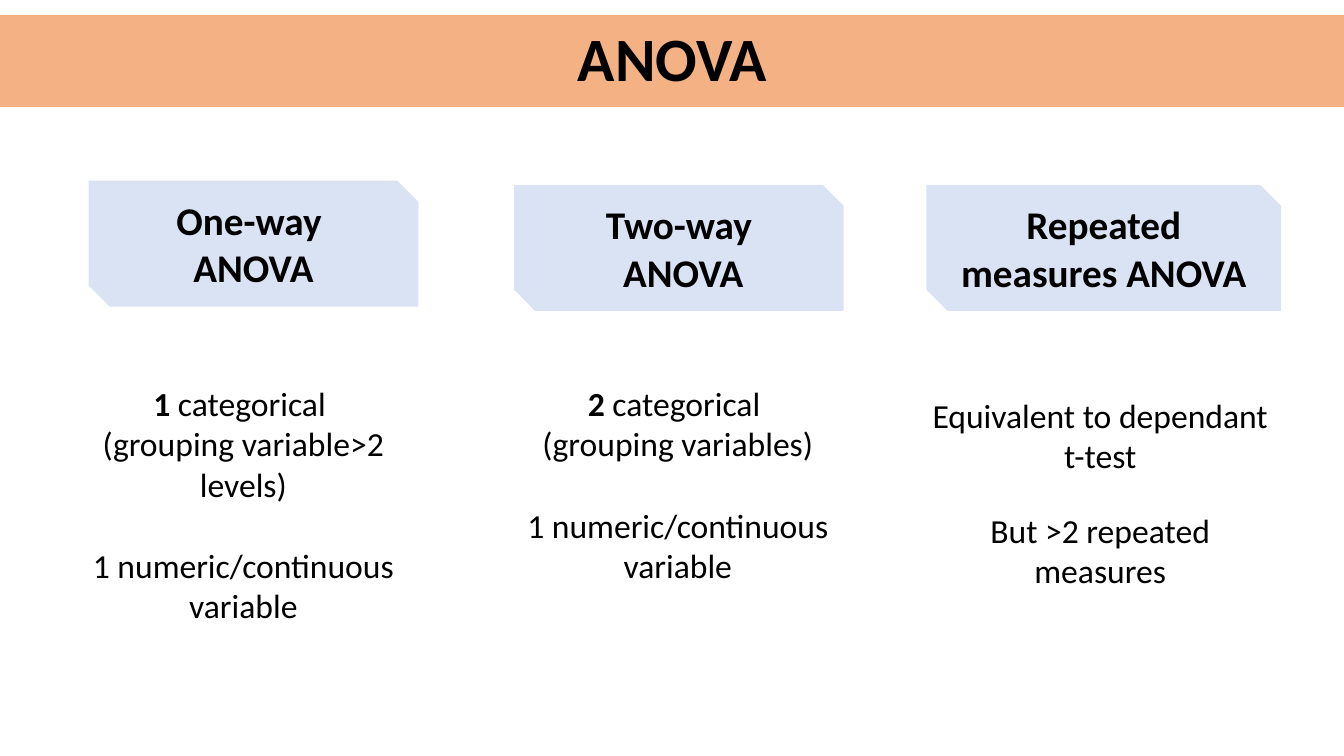
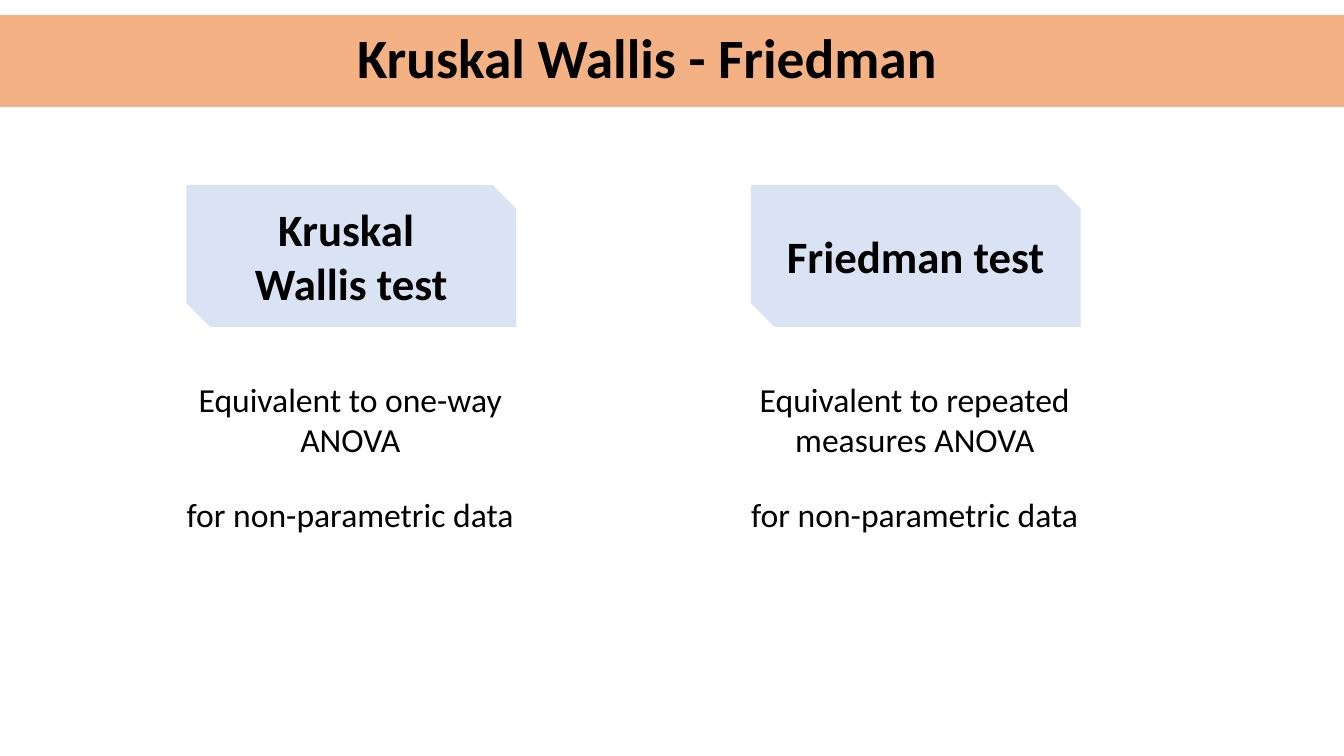
import pptx
import pptx.util
import pptx.dml.color
import pptx.enum.shapes
import pptx.enum.text

PEACH = pptx.dml.color.RGBColor(0xF4, 0xB1, 0x83)
PALE_BLUE = pptx.dml.color.RGBColor(0xDA, 0xE3, 0xF3)
BLACK = pptx.dml.color.RGBColor(0, 0, 0)
SHAPES = pptx.enum.shapes.MSO_SHAPE
ANCHOR = pptx.enum.text.MSO_ANCHOR
CENTER = pptx.enum.text.PP_ALIGN.CENTER

presentation = pptx.Presentation()
presentation.slide_width = pptx.util.Inches(13.33)
presentation.slide_height = pptx.util.Inches(7.5)

# Grid that all boxes (left, top, width, height) are given in
COLUMNS, ROWS = 160, 90
BAND = (0, 1.8, COLUMNS, 10.92)
NOTES_WIDTH = 44.28
LINE_HEIGHT = 1.22  # height of a line of Calibri, as a share of its size


def place(box):
    column = presentation.slide_width / COLUMNS
    row = presentation.slide_height / ROWS
    return [round(length * unit) for length, unit in zip(box, (column, row) * 2)]


def set_values(target, values):
    for name, value in values.items():
        setattr(target, name, value)


def write(shape, paragraphs, size, bold=False, anchor=ANCHOR.MIDDLE, line_spacing=1.0):
    """Each paragraph is (blank lines' size before it, bold lead, remaining text)."""
    frame = shape.text_frame
    set_values(frame, {"word_wrap": True, "vertical_anchor": anchor})
    for index, (gap, lead, text) in enumerate(paragraphs):
        paragraph = frame.add_paragraph() if index else frame.paragraphs[0]
        set_values(paragraph, {"alignment": CENTER, "line_spacing": line_spacing,
                               "space_before": pptx.util.Pt(gap * LINE_HEIGHT)})
        for words, heavy in ((lead, True), (text, bold)):
            if words:
                run = paragraph.add_run()
                run.text = words
                set_values(run.font, {"name": "Calibri", "size": pptx.util.Pt(size),
                                      "bold": heavy})
                run.font.color.rgb = BLACK


def add_block(slide, kind, box, color):
    shape = slide.shapes.add_shape(kind, *place(box))
    shape.shadow.inherit = False
    shape.fill.solid()
    shape.fill.fore_color.rgb = color
    shape.line.fill.background()
    return shape


def add_title(slide, box, text, size, line_spacing):
    add_block(slide, SHAPES.RECTANGLE, BAND, PEACH)
    title = slide.shapes.add_textbox(*place(box))
    write(title, [(0, "", text)], size, True, line_spacing=line_spacing)


def add_test(slide, card_box, heading, heading_size, notes_offset, notes_height, notes):
    """A heading card with notes placed relative to its top left corner."""
    card = add_block(slide, SHAPES.SNIP_2_DIAG_RECTANGLE, card_box, PALE_BLUE)
    write(card, [(0, "", line) for line in heading], heading_size, True)
    left, top = (start + shift for start, shift in zip(card_box, notes_offset))
    body = slide.shapes.add_textbox(*place((left, top, NOTES_WIDTH, notes_height)))
    write(body, notes, 24, anchor=ANCHOR.TOP)


def add_slide(title, tests):
    slide = presentation.slides.add_slide(presentation.slide_layouts[6])
    add_title(slide, *title)
    for test in tests:
        add_test(slide, *test)


# Slide 1: the three kinds of ANOVA
NUMERIC = (24, "", "1 numeric/continuous variable")
add_slide(((29.04, 2.16, 102, 10.32), "ANOVA", 44, 0.9), [
    ((10.56, 21.5, 39.24, 15), ["One-way ", "ANOVA"], 28, (-3.72, 23.5), 30.24,
     [(0, "1", " categorical "), (0, "", "(grouping variable>2 levels)"), NUMERIC]),
    ((61.2, 22, 39.24, 15), ["Two-way", " ANOVA"], 28, (-2.64, 23), 25.44,
     [(0, "2", " categorical "), (0, "", "(grouping variables)"), NUMERIC]),
    ((110.28, 22, 42.24, 15), ["Repeated measures ANOVA"], 28, (-1.44, 24.44), 25.44,
     [(0, "", "Equivalent to dependant t-test"), (20, "", "But >2 repeated measures")]),
])

# Slide 2: the non-parametric counterparts, two equally spaced cards
COUNTERPARTS = [
    (["Kruskal ", "Wallis test"], "Equivalent to one-way ANOVA"),
    (["Friedman test"], "Equivalent to repeated measures ANOVA"),
]
add_slide(((8.04, 3.6, 138, 7.8), "Kruskal Wallis - Friedman", 39.6, 0.8), [
    ((22.2 + 67.2 * index, 22, 39.24, 16.92), heading, 32, (-2.64, 22.52), 19.8,
     [(0, "", equivalent), (20, "", "for non-parametric data")])
    for index, (heading, equivalent) in enumerate(COUNTERPARTS)
])

presentation.save("out.pptx")
